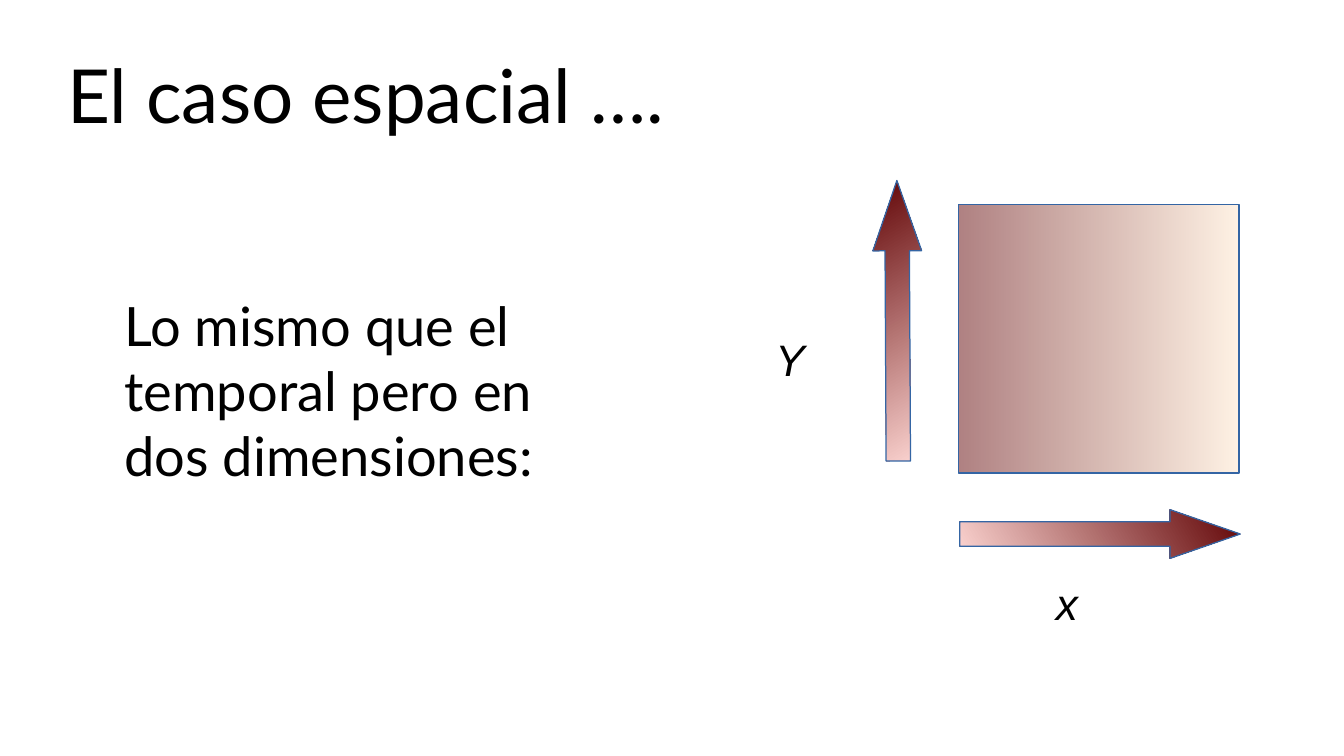
import pptx
import pptx.dml.color
import pptx.enum.shapes
import pptx.enum.text
import pptx.oxml
import pptx.oxml.ns
import pptx.util
from pptx.util import Inches

SHAPES = pptx.enum.shapes.MSO_SHAPE
ANCHORS = pptx.enum.text.MSO_ANCHOR
SLIDE_SIZE = (11.02, 6.2)
BLACK, OUTLINE = "000000", "3465A4"
TEXT_MARGINS = (0.1, 0.05)

# text, box, margins, anchor, font, size, italic
TEXTS = [
    ("El caso espacial ….", (0.55, 0.25, 9.92, 1.04), (0, 0), ANCHORS.MIDDLE, "Lato", 44, False),
    ("Lo mismo que el temporal pero en dos dimensiones:",
     (1.02, 2.4, 3.58, 1.8), (0, 0), ANCHORS.TOP, "Lato", 32, False),
    ("x", (8.56, 4.68, 0.8, 1.02), TEXT_MARGINS, ANCHORS.TOP, "Arial", 26, True),
    ("Y", (6.26, 2.68, 0.8, 0.82), TEXT_MARGINS, ANCHORS.TOP, "Arial", 26, True),
]

# start colour, end colour, opacity in percent, angle in degrees
FIELD_GRADIENT = ("610506", "FFE5CA", 50, 0)
ARROW_GRADIENT = ("610506", "FCD4D1", 100, 150)

# preset, box, rotation, adjustments, gradient
FIGURES = [
    (SHAPES.RECTANGLE, (7.86, 1.68, 2.3, 2.2), 0, (), FIELD_GRADIENT),
    (SHAPES.RIGHT_ARROW, (7.87, 4.18, 2.3, 0.4), 0, (0.5, 1.44), ARROW_GRADIENT),
    (SHAPES.RIGHT_ARROW, (6.21, 2.43, 2.3, 0.4), 269.7, (0.5, 1.44), ARROW_GRADIENT),
]


def color(hex_string):
    return pptx.dml.color.RGBColor.from_string(hex_string)


def fill_gradient(shape, start, end, opacity, angle):
    """Fill with a linear two-colour gradient, its angle measured clockwise."""
    stops = "".join(
        f'<a:gs pos="{position}"><a:srgbClr val="{value}">'
        f'<a:alpha val="{opacity * 1000}"/></a:srgbClr></a:gs>'
        for position, value in ((0, start), (100000, end)))
    gradient = pptx.oxml.parse_xml(
        f'<a:gradFill {pptx.oxml.ns.nsdecls("a")} rotWithShape="1"><a:gsLst>{stops}</a:gsLst>'
        f'<a:lin ang="{angle * 60000}" scaled="0"/></a:gradFill>')
    shape._element.spPr.find(pptx.oxml.ns.qn("a:prstGeom")).addnext(gradient)


def add_figure(slide, preset, box, rotation, adjustments, gradient):
    shape = slide.shapes.add_shape(preset, *map(Inches, box))
    shape.rotation = rotation
    for index, value in enumerate(adjustments):
        shape.adjustments[index] = value
    fill_gradient(shape, *gradient)
    shape.line.color.rgb = color(OUTLINE)
    shape.line.width = pptx.util.Pt(0)
    shape.shadow.inherit = False


def add_text(slide, text, box, margins, anchor, font_name, size, italic):
    frame = slide.shapes.add_textbox(*map(Inches, box)).text_frame
    frame.word_wrap = True
    frame.vertical_anchor = anchor
    frame.margin_left = frame.margin_right = Inches(margins[0])
    frame.margin_top = frame.margin_bottom = Inches(margins[1])
    frame.text = text
    font = frame.paragraphs[0].runs[0].font
    font.name, font.size, font.italic = font_name, pptx.util.Pt(size), italic
    font.color.rgb = color(BLACK)


def main():
    presentation = pptx.Presentation()
    presentation.slide_width, presentation.slide_height = map(Inches, SLIDE_SIZE)
    slide = presentation.slides.add_slide(presentation.slide_layouts[6])
    for figure in FIGURES:
        add_figure(slide, *figure)
    for text in TEXTS:
        add_text(slide, *text)
    presentation.save("out.pptx")


if __name__ == "__main__":
    main()
